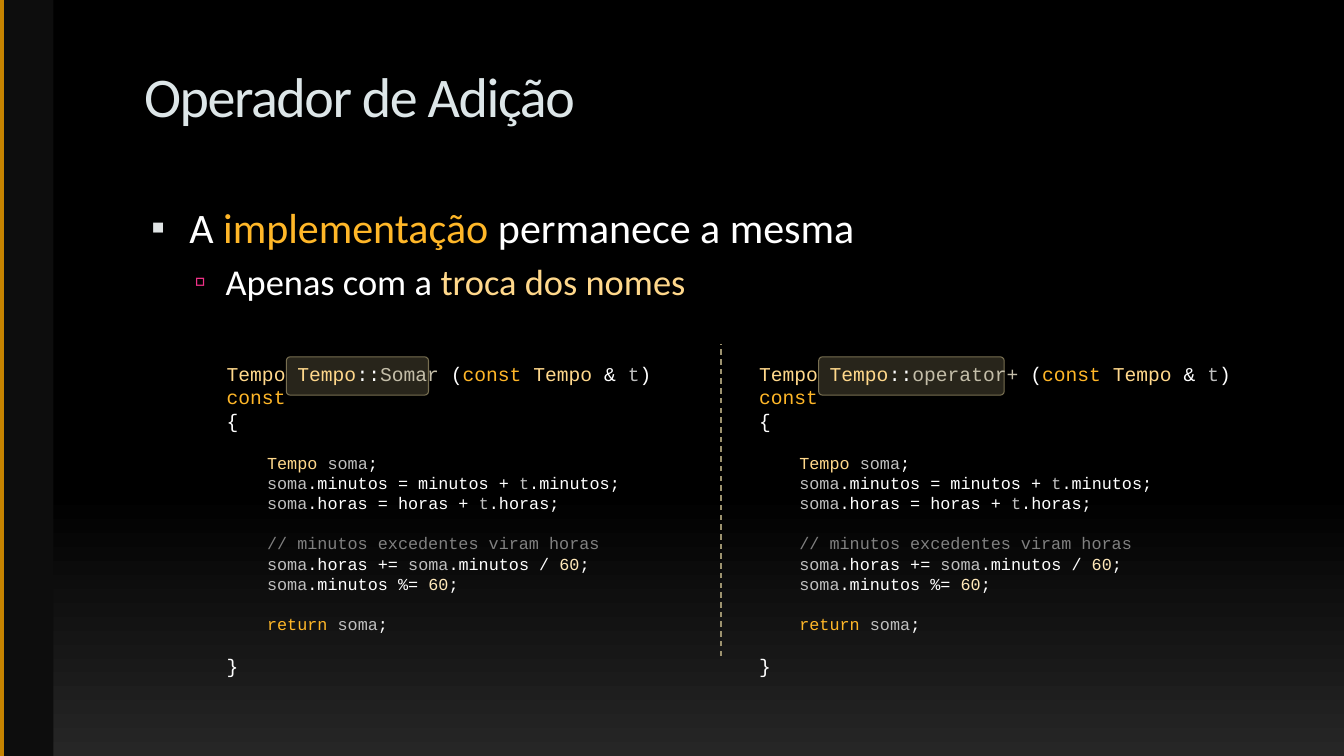
from lxml.etree import SubElement
from pptx import Presentation
from pptx.dml.color import RGBColor
from pptx.enum.dml import MSO_LINE
from pptx.enum.shapes import MSO_CONNECTOR, MSO_SHAPE
from pptx.enum.text import MSO_ANCHOR, PP_ALIGN
from pptx.oxml.ns import qn
from pptx.util import Inches, Pt

WHITE, GREY, COMMENT = "FFFFFF", "BFBFBF", "808080"
KEYWORD, TYPE, NUMBER, METHOD = "FFB728", "FFD88B", "FFE8B9", "C4BEA9"
CODE_SIZE, SIGNATURE_SIZE, LINE_FACTOR = 12, 14, 1.2
INDENT = ("    ", WHITE)
SOMA = ("soma", GREY)
PARAMETER = ("t", GREY)

# Each block of the function body is set apart by one line of space.
BODY_BLOCKS = [
    [
        [("Tempo ", TYPE), SOMA, (";", WHITE)],
        [SOMA, (".minutos = minutos + ", WHITE), PARAMETER, (".minutos;", WHITE)],
        [SOMA, (".horas = horas + ", WHITE), PARAMETER, (".horas;", WHITE)],
    ],
    [
        [("// minutos excedentes viram horas", COMMENT)],
        [SOMA, (".horas += ", WHITE), SOMA, (".minutos / ", WHITE),
         ("60", NUMBER), (";", WHITE)],
        [SOMA, (".minutos %= ", WHITE), ("60", NUMBER), (";", WHITE)],
    ],
    [[("return ", KEYWORD), SOMA, (";", WHITE)]],
]


def color(hex_value):
    return RGBColor.from_string(hex_value)


def apply(target, values):
    for name, value in values.items():
        setattr(target, name, value)


class SlideBuilder:
    title_font = "Calibri"
    code_font = "Courier New"

    def __init__(self, presentation):
        self.slide = presentation.slides.add_slide(presentation.slide_layouts[6])

    def background(self, stops, angle):
        fill = self.slide.background.fill
        fill.gradient()
        fill.gradient_angle = angle
        for stop, (position, hex_value) in zip(fill.gradient_stops, stops):
            stop.position = position
            stop.color.rgb = color(hex_value)

    def box(self, kind, left, top, width, height, fill, line=None, alpha=None):
        shape = self.slide.shapes.add_shape(
            kind, Inches(left), Inches(top), Inches(width), Inches(height))
        shape.shadow.inherit = False
        shape.fill.solid()
        shape.fill.fore_color.rgb = color(fill)
        if alpha is not None:
            fill_color = shape.fill._xPr.find(qn("a:solidFill"))[0]
            SubElement(fill_color, qn("a:alpha"), val=str(alpha * 1000))
        if line:
            shape.line.color.rgb = color(line)
            shape.line.width = Pt(0.75)
        else:
            shape.line.fill.background()
        return shape

    def vertical_line(self, x, start, end, hex_value, width, dash=None):
        connector = self.slide.shapes.add_connector(
            MSO_CONNECTOR.STRAIGHT, Inches(x), Inches(start), Inches(x), Inches(end))
        connector.line.color.rgb = color(hex_value)
        apply(connector.line, {"width": Pt(width), "dash_style": dash})
        SubElement(connector._element.spPr, qn("a:effectLst"))

    def text_frame(self, left, top, width, height):
        frame = self.slide.shapes.add_textbox(
            Inches(left), Inches(top), Inches(width), Inches(height)).text_frame
        apply(frame, {"word_wrap": True, "vertical_anchor": MSO_ANCHOR.TOP})
        return frame

    def paragraph(self, frame, runs, size, font, **values):
        """Add runs of (text, colour), using the frame's empty first paragraph."""
        first = frame.paragraphs[0]
        paragraph = frame.add_paragraph() if first.runs else first
        apply(paragraph, {"alignment": PP_ALIGN.LEFT, **values})
        for text, hex_value in runs:
            run = paragraph.add_run()
            run.text = text
            apply(run.font, {"size": Pt(size), "name": font})
            run.font.color.rgb = color(hex_value)
        return paragraph

    def title(self, text, *place):
        paragraph = self.paragraph(
            self.text_frame(*place), [(text, "DDE6E8")], 40, self.title_font)
        paragraph.runs[0]._r.get_or_add_rPr().set("spc", "-100")

    def bullets(self, items, *place):
        frame = self.text_frame(*place)
        for item in items:
            paragraph = self.paragraph(
                frame, item["runs"], item["size"], self.title_font,
                space_before=Pt(item["gap"]), level=item["level"])
            properties = paragraph._p.get_or_add_pPr()
            properties.set("marL", str(Inches(item["margin"])))
            properties.set("indent", str(Inches(item["indent"])))
            bullet_color = SubElement(properties, qn("a:buClr"))
            SubElement(bullet_color, qn("a:srgbClr"), val=item["bullet_color"])
            SubElement(properties, qn("a:buSzPct"), val=str(item["percent"] * 1000))
            SubElement(properties, qn("a:buFont"), typeface="Arial")
            SubElement(properties, qn("a:buChar"), char=item["bullet"])

    def code_line(self, frame, runs, size, gap=0):
        self.paragraph(frame, runs, size, self.code_font, space_before=Pt(gap),
                       line_spacing=Pt(size * LINE_FACTOR))

    def code(self, method, left, width):
        frame = self.text_frame(left, 3.54, width, 3.03)
        blank_line = CODE_SIZE * LINE_FACTOR
        signature = [
            ("Tempo Tempo", TYPE), ("::", WHITE), (f"{method} ", METHOD),
            ("(", WHITE), ("const ", KEYWORD), ("Tempo", TYPE), (" & ", WHITE),
            PARAMETER, (") ", WHITE), ("const", KEYWORD),
        ]
        self.code_line(frame, signature, SIGNATURE_SIZE)
        self.code_line(frame, [("{", WHITE)], SIGNATURE_SIZE)
        for block in BODY_BLOCKS:
            for index, line in enumerate(block):
                self.code_line(frame, [INDENT, *line], CODE_SIZE,
                               0 if index else blank_line)
        self.code_line(frame, [("}", WHITE)], SIGNATURE_SIZE, blank_line)


def main():
    presentation = Presentation()
    apply(presentation, {"slide_width": Inches(13.33), "slide_height": Inches(7.5)})
    builder = SlideBuilder(presentation)
    builder.background([(0.65, "000000"), (1, "262626")], 270)
    builder.box(MSO_SHAPE.RECTANGLE, 0, 0, 0.53, 7.5, "0D0D0D")
    builder.vertical_line(0.02, 0, 7.5, "C58300", 3)

    builder.title("Operador de Adição", 1.33, 0.56, 9.51, 1)
    builder.bullets([
        {"runs": [("A ", WHITE), ("implementação", KEYWORD),
                  (" permanece a mesma", WHITE)],
         "size": 30, "gap": 0, "level": 0, "margin": 0.45, "indent": -0.38,
         "bullet": "▪", "bullet_color": "E0E4E5", "percent": 95},
        {"runs": [("Apenas com a ", WHITE), ("troca dos nomes", TYPE)],
         "size": 26, "gap": 5.2, "level": 1, "margin": 0.81, "indent": -0.31,
         "bullet": "▫", "bullet_color": "F03288", "percent": 90},
    ], 1.33, 1.95, 11.33, 5)

    for left, width in [(2.84, 1.41), (8.12, 1.84)]:
        highlight = builder.box(MSO_SHAPE.ROUNDED_RECTANGLE, left, 3.54, width, 0.38,
                                "504A36", line="786F51", alpha=50)
        highlight.adjustments[0] = 0.1
    builder.code("Somar", 2.15, 4.79)
    builder.vertical_line(7.15, 6.51, 3.41, "9D936F", 1, MSO_LINE.DASH)
    builder.code("operator+", 7.43, 5.2)

    presentation.save("out.pptx")


if __name__ == "__main__":
    main()
